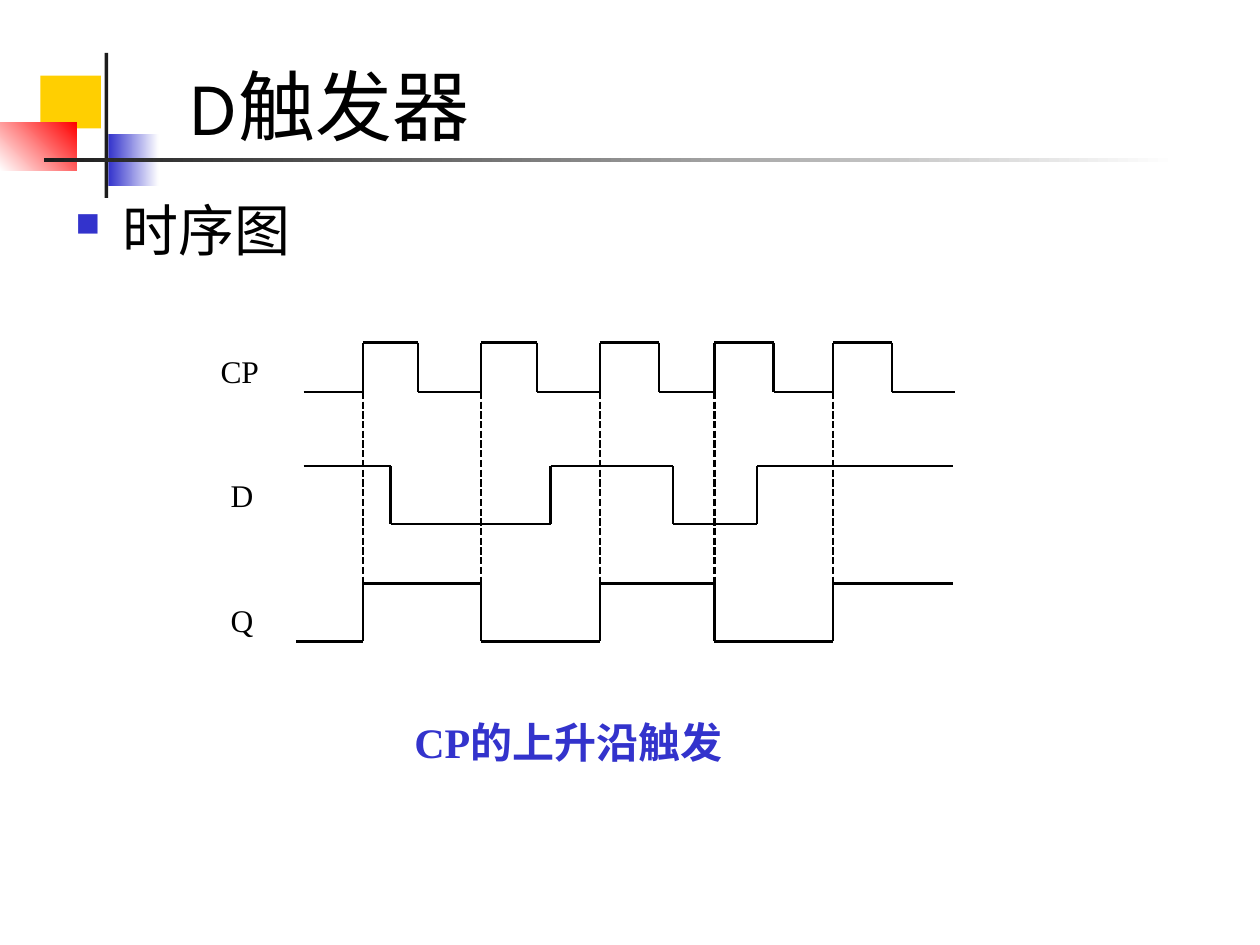
from itertools import pairwise

from lxml.etree import SubElement
from pptx import Presentation
from pptx.dml.color import RGBColor
from pptx.enum.dml import MSO_LINE
from pptx.enum.shapes import MSO_CONNECTOR, MSO_SHAPE
from pptx.enum.text import MSO_ANCHOR, MSO_AUTO_SIZE, PP_ALIGN
from pptx.oxml.ns import qn
from pptx.util import Inches, Pt

THEME = {
    "black": RGBColor(0x00, 0x00, 0x00), "white": RGBColor(0xFF, 0xFF, 0xFF),
    "dark": RGBColor(0x1C, 0x1C, 0x1C), "blue": RGBColor(0x33, 0x33, 0xCC),
    "yellow": RGBColor(0xFF, 0xCF, 0x01), "red": RGBColor(0xFF, 0x00, 0x00),
    "sans": "Karla", "serif": "Times New Roman",
    "title": Pt(44), "body": Pt(32), "caption": Pt(24), "label": Pt(18),
    "line": Pt(1.38),
}

presentation = Presentation()
presentation.slide_width, presentation.slide_height = Inches(10), Inches(7.5)
slide = presentation.slides.add_slide(presentation.slide_layouts[5])

# Grid of 100 columns by 75 rows
COLUMN = presentation.slide_width / 100
ROW = presentation.slide_height / 75


def write(shape, text, box, font_name, size, color, inset=True):
    left, top, width, height = box
    shape.left, shape.width = round(left * COLUMN), round(width * COLUMN)
    shape.top, shape.height = round(top * ROW), round(height * ROW)
    frame = shape.text_frame
    frame.text = text
    frame.word_wrap = inset
    frame.auto_size = MSO_AUTO_SIZE.NONE
    if not inset:
        frame.margin_left = frame.margin_right = 0
        frame.margin_top = frame.margin_bottom = 0
    paragraph = frame.paragraphs[0]
    paragraph.alignment = PP_ALIGN.LEFT
    font = paragraph.runs[0].font
    font.name, font.size, font.color.rgb = font_name, THEME[size], THEME[color]
    return paragraph


def draw_line(x1, y1, x2, y2, dash=None):
    line = slide.shapes.add_connector(
        MSO_CONNECTOR.STRAIGHT, round(x1 * COLUMN), round(y1 * ROW),
        round(x2 * COLUMN), round(y2 * ROW))
    line.line.color.rgb = THEME["black"]
    line.line.width = THEME["line"]
    if dash:
        line.line.dash_style = dash
    SubElement(line._element.spPr, qn("a:effectLst"))


# Corner decoration: left, top, width, height, colours, gradient angle
decoration = [
    (3.2, 6, 4.8, 4.2, ["yellow"], 0),
    (8.6, 10.6, 4, 4.2, ["blue", "white"], 0),
    (0, 9.7, 6.1, 3.8, ["white", "red"], 45),
    (8.3, 4.2, 0.3, 11.5, ["dark"], 0),
    (3.5, 12.5, 90, 0.35, ["dark", "white"], 0),
]
for left, top, width, height, colors, angle in decoration:
    block = slide.shapes.add_shape(
        MSO_SHAPE.RECTANGLE, round(left * COLUMN), round(top * ROW),
        round(width * COLUMN), round(height * ROW))
    block.shadow.inherit = False
    block.line.fill.background()
    if len(colors) == 1:
        block.fill.solid()
        block.fill.fore_color.rgb = THEME[colors[0]]
    else:
        block.fill.gradient()
        block.fill.gradient_angle = angle
        for stop, color in zip(block.fill.gradient_stops, colors):
            stop.color.rgb = THEME[color]

# Title
title = slide.shapes.title
write(title, "D触发器", (13.9, 5.8, 85.2, 6.7), THEME["sans"], "title", "black")
title.text_frame.vertical_anchor = MSO_ANCHOR.BOTTOM

# Bulleted heading
heading = write(slide.shapes.add_textbox(0, 0, 0, 0), "时序图",
                (5, 15, 91.7, 53.3), THEME["sans"], "body", "black")
properties = heading._p.get_or_add_pPr()
properties.set("marL", str(round(3.75 * COLUMN)))
properties.set("indent", str(round(-3.75 * COLUMN)))
bullet_color = SubElement(properties, qn("a:buClr"))
SubElement(bullet_color, qn("a:srgbClr"), val=str(THEME["blue"]))
SubElement(properties, qn("a:buSzPct"), val="60000")
SubElement(properties, qn("a:buChar"), char="■")

# Signals: label, label box, high row, low row, level at the start,
# gap after a rise, and the columns of start, edges and end
RISES = [28.8, 38.2, 47.6, 56.7, 66.1]
FALLS = [33.2, 42.6, 52.3, 61.4, 70.8]
signals = [
    ("CP", (17.5, 27.9, 3.1, 3), 27.2, 31.1, "low", 0.3,
     [24.1, *sorted(RISES + FALLS), 75.8]),
    ("D", (18.3, 37.8, 1.8, 3), 37, 41.6, "high", 0,
     [24.1, 31, 43.7, 53.4, 60.1, 75.6]),
    ("Q", (18.3, 47.7, 1.8, 3), 46.3, 50.9, "low", 0,
     [23.5, *RISES, 75.6]),
]
for name, box, high, low, level, gap, columns in signals:
    write(slide.shapes.add_textbox(0, 0, 0, 0), name, box,
          THEME["serif"], "label", "black", inset=False)
    row = high if level == "high" else low
    for start, end in pairwise(columns):
        draw_line(start + (gap if row == high else 0), row, end, row)
        if end != columns[-1]:
            draw_line(end, high, end, low)
        row = high + low - row

# Dashed guides from each clock rise down to Q
for column in RISES:
    draw_line(column, 31.1, column, 46.3, MSO_LINE.SQUARE_DOT)

# Caption
caption = write(slide.shapes.add_textbox(0, 0, 0, 0), "CP的上升沿触发",
                (31.9, 56.4, 26.8, 5), THEME["serif"], "caption", "blue")
caption.runs[0].font.bold = True

presentation.save("out.pptx")
